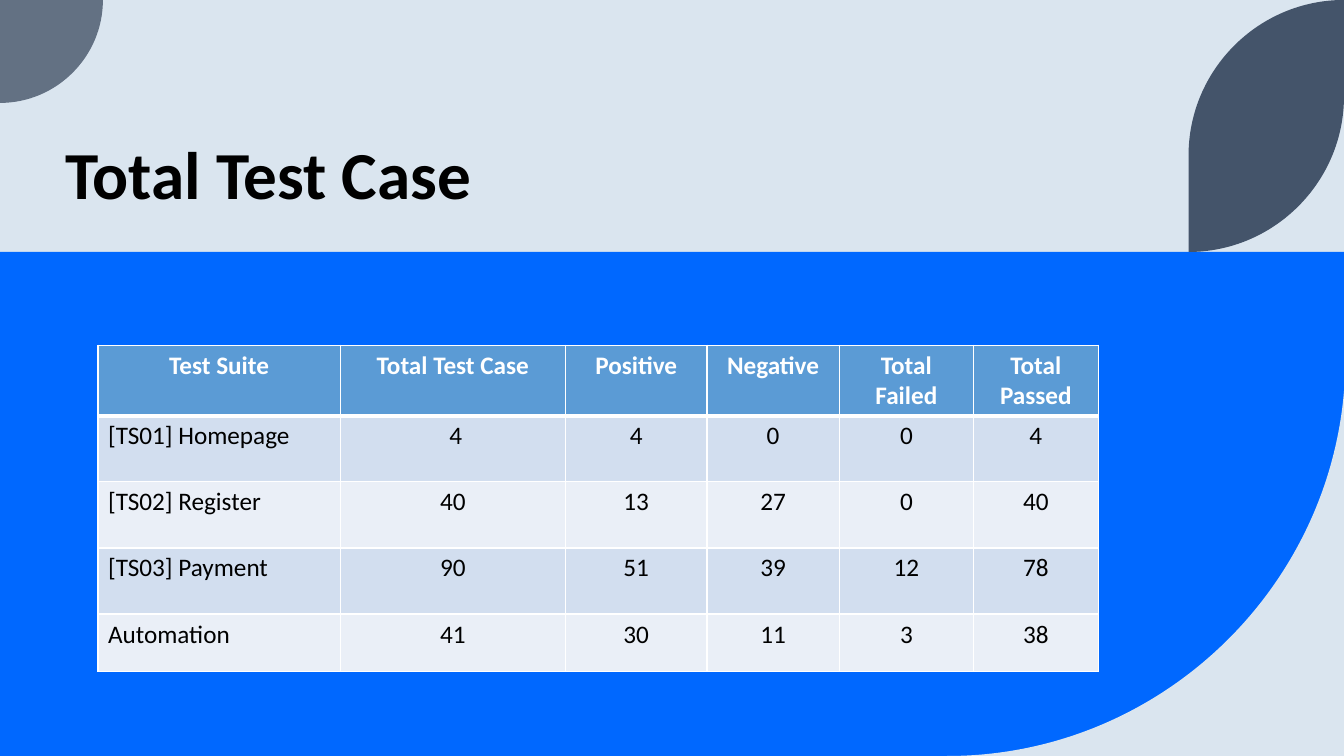
from lxml import etree
from pptx import Presentation
from pptx.dml.color import RGBColor
from pptx.enum.shapes import MSO_SHAPE
from pptx.enum.text import MSO_ANCHOR, PP_ALIGN
from pptx.oxml.ns import qn
from pptx.util import Pt

RECTANGLE = MSO_SHAPE.RECTANGLE
BOTTOM = MSO_ANCHOR.BOTTOM
LEFT, CENTER = PP_ALIGN.LEFT, PP_ALIGN.CENTER

FONT = "Calibri"
WIDTH, HEIGHT, BAND_TOP, BAND_WIDTH = 960, 540, 180, 961
ROUNDNESS = 0.55  # control point distance of a quarter circle
COLORS = {
    "background": "DAE5EF",
    "band": "0068FF",
    "quarter": "637183",
    "leaf": "44546A",
    "header": "5B9BD5",
    "odd row": "D2DEEF",
    "even row": "EAEFF7",
    "white": "FFFFFF",
    "black": "000000",
}


def paint(shape, color):
    shape.shadow.inherit = False
    shape.fill.solid()
    shape.fill.fore_color.rgb = RGBColor.from_string(COLORS[color])
    shape.line.fill.background()


def add_run(para, text, size, color, bold):
    span = para.add_run()
    span.text = text
    span.font.name = FONT
    span.font.size = Pt(size)
    span.font.bold = bold
    span.font.color.rgb = RGBColor.from_string(COLORS[color])


deck = Presentation()
deck.slide_width, deck.slide_height = Pt(WIDTH), Pt(HEIGHT)
page = deck.slides.add_slide(deck.slide_layouts[6])
page.background.fill.solid()
page.background.fill.fore_color.rgb = RGBColor.from_string(COLORS["background"])

# Blue band
band = page.shapes.add_shape(RECTANGLE, 0, Pt(BAND_TOP), Pt(BAND_WIDTH), Pt(HEIGHT - BAND_TOP))
paint(band, "band")

# Curved decorations: a step is (end) for a line, (rounded corner, end) for a curve
corner, quarter, leaf = 284.4, 73.5, 111
leaf_left = WIDTH - leaf
outlines = [
    ("background", (BAND_WIDTH, HEIGHT - corner), [
        [(BAND_WIDTH, HEIGHT), (BAND_WIDTH - corner, HEIGHT)],
        [(BAND_WIDTH, HEIGHT)],
    ]),
    ("quarter", (0, 0), [
        [(quarter, 0)],
        [(quarter, quarter), (0, quarter)],
    ]),
    ("leaf", (WIDTH, 0), [
        [(WIDTH, BAND_TOP - leaf)],
        [(WIDTH, BAND_TOP), (leaf_left, BAND_TOP)],
        [(leaf_left, leaf)],
        [(leaf_left, 0), (WIDTH, 0)],
    ]),
]
for color, start, steps in outlines:
    points = [start]
    for step in steps:
        begin, end = points[-1], step[-1]
        if len(step) == 2:
            for anchor in (begin, end):
                points.append(tuple(a + (c - a) * ROUNDNESS for a, c in zip(anchor, step[0])))
        points.append(end)
    emu_points = [(Pt(x), Pt(y)) for x, y in points]
    builder = page.shapes.build_freeform(*emu_points[0])
    builder.add_line_segments(emu_points[1:], close=True)
    outline = builder.convert_to_shape()
    paint(outline, color)

    # Join the three points of each rounded step into one curve
    segments = iter(list(outline._element.iter(qn("a:lnTo"))))
    for step in steps:
        segment = next(segments)
        if len(step) == 2:
            segment.tag = qn("a:cubicBezTo")
            for _ in range(2):
                extra = next(segments)
                segment.append(extra[0])
                extra.getparent().remove(extra)

# Title
box = page.shapes.add_textbox(Pt(39.6), Pt(52), Pt(770), Pt(104.5))
box.text_frame.word_wrap = True
box.text_frame.vertical_anchor = BOTTOM
title = box.text_frame.paragraphs[0]
title.line_spacing = 0.9
add_run(title, "Total Test Case", 48, "black", True)

# Test results table
results = [
    ["Test Suite", "Total Test Case", "Positive", "Negative", "Total Failed", "Total Passed"],
    ["[TS01] Homepage", " 4", "4", "0", "0", "4"],
    ["[TS02] Register", "40", "13", "27", "0", "40"],
    ["[TS03] Payment", "90", "51", "39", "12", "78"],
    ["Automation", "41", "30", "11", "3", "38"],
]
column_widths = [173, 161, 101, 94.5, 96, 89]
row_heights = [47.5, 47.25, 47.25, 47.25, 41]
table = page.shapes.add_table(
    len(results), len(column_widths), Pt(70), Pt(246.5),
    Pt(sum(column_widths)), Pt(sum(row_heights)),
).table
for column, width in zip(table.columns, column_widths):
    column.width = Pt(width)

for row_index, values in enumerate(results):
    table.rows[row_index].height = Pt(row_heights[row_index])
    is_header = row_index == 0
    row_color = "header" if is_header else "odd row" if row_index % 2 else "even row"
    for column_index, value in enumerate(values):
        cell = table.cell(row_index, column_index)
        para = cell.text_frame.paragraphs[0]
        para.alignment = CENTER if is_header or column_index else LEFT
        add_run(para, value, 18, "white" if is_header else "black", is_header)
        cell.fill.solid()
        cell.fill.fore_color.rgb = RGBColor.from_string(COLORS[row_color])

        # White borders, thicker under the header
        borders = {"lnL": 1, "lnR": 1, "lnT": 3 if row_index == 1 else 1, "lnB": 3 if is_header else 1}
        properties = cell._tc.get_or_add_tcPr()
        for position, (side, weight) in enumerate(borders.items()):
            border = etree.Element(qn("a:" + side), w=str(Pt(weight)))
            fill = etree.SubElement(border, qn("a:solidFill"))
            etree.SubElement(fill, qn("a:srgbClr"), val=COLORS["white"])
            properties.insert(position, border)

deck.save("out.pptx")
